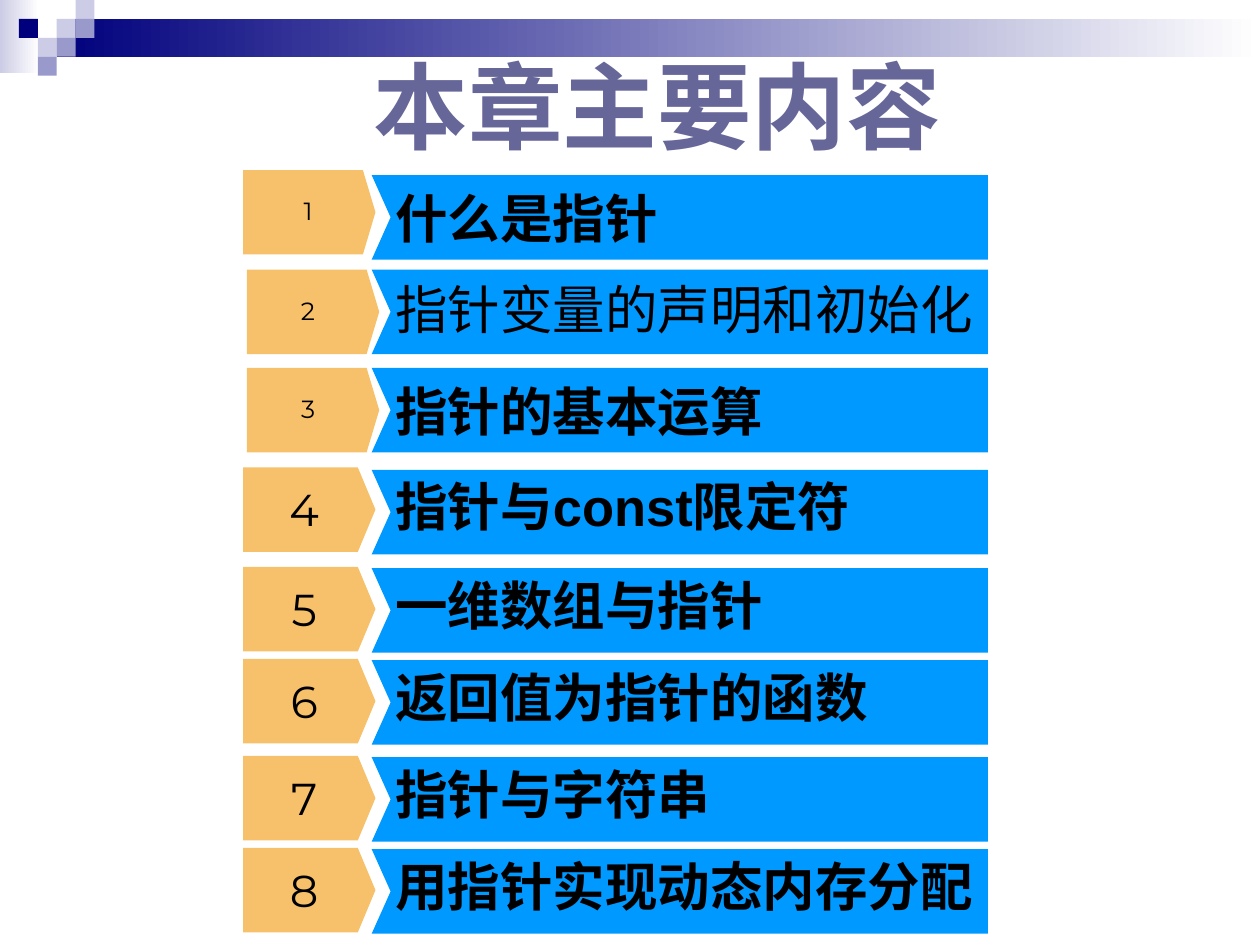
from dataclasses import dataclass

from lxml import etree
from pptx import Presentation
from pptx.dml.color import RGBColor
from pptx.enum.shapes import MSO_SHAPE as Preset
from pptx.enum.text import MSO_ANCHOR as Anchor, PP_ALIGN as Align
from pptx.oxml.ns import qn
from pptx.util import Inches, Pt

NAVY = RGBColor(0x00, 0x00, 0x7D)
LAVENDER = RGBColor(0xCC, 0xCC, 0xE6)
PERIWINKLE = RGBColor(0x99, 0x99, 0xCC)
WHITE = RGBColor(0xFF, 0xFF, 0xFF)
TITLE_PURPLE = RGBColor(0x66, 0x66, 0x99)
BAR_BLUE = RGBColor(0x00, 0x99, 0xFF)
TAG_ORANGE = RGBColor(0xF6, 0xC1, 0x6A)
BLACK = RGBColor(0x00, 0x00, 0x00)

SLIDE_W, SLIDE_H = 10, 7.5
CELL = 0.15  # side of one square in the corner mosaic
ROW_H = 0.67
BAR_LEFT, BAR_RIGHT, BAR_NOTCH = 2.95, 7.84, 0.15
TAG_W = 1.05
LABEL_LEFT = 3.04
CJK_FONT = "Noto Sans CJK SC"

# (column, row, colour) of the corner mosaic
MOSAIC = [
    (3, 1, LAVENDER), (4, 0, LAVENDER), (4, 1, PERIWINKLE), (2, 2, LAVENDER),
    (1, 1, NAVY), (3, 2, PERIWINKLE), (2, 3, PERIWINKLE),
]


@dataclass
class Chapter:
    title: str
    top: float
    small_number: bool = False
    tag_left: float = 1.93
    tag_shift: float = -0.01
    label_shift: float = -0.01
    label_width: float = 4.73
    font: str = "Arial"
    bold: bool = True
    align: Align = Align.LEFT


CHAPTERS = [
    Chapter("什么是指针", 1.39, True, tag_shift=-0.04, label_shift=0.04, label_width=4.02),
    Chapter("指针变量的声明和初始化", 2.14, True, 1.96, 0, 0.01, 5.12,
            "Times New Roman", False, Align.JUSTIFY),
    Chapter("指针的基本运算", 2.92, True, 1.96, 0, 0.04),
    Chapter("指针与const限定符", 3.73, tag_shift=-0.02, label_shift=-0.02),
    Chapter("一维数组与指针", 4.51),
    Chapter("返回值为指针的函数", 5.24),
    Chapter("指针与字符串", 6.01),
    Chapter("用指针实现动态内存分配", 6.74, label_width=4.96),
]


def add_block(slide, left, top, width, height, color, fade_to=None):
    """Borderless rectangle, plain or fading from left to right."""
    block = slide.shapes.add_shape(
        Preset.RECTANGLE, Inches(left), Inches(top), Inches(width), Inches(height))
    block.shadow.inherit = False
    block.line.fill.background()
    if fade_to is None:
        block.fill.solid()
        block.fill.fore_color.rgb = color
    else:
        block.fill.gradient()
        block.fill.gradient_angle = 0
        for stop, stop_color in zip(block.fill.gradient_stops, (color, fade_to)):
            stop.color.rgb = stop_color


def add_outline(slide, points, color):
    """Closed, borderless polygon through points given in inches."""
    start, *rest = [(Inches(x), Inches(y)) for x, y in points]
    builder = slide.shapes.build_freeform(*start)
    builder.add_line_segments(rest, close=True)
    polygon = builder.convert_to_shape()
    polygon.shadow.inherit = False
    polygon.fill.solid()
    polygon.fill.fore_color.rgb = color
    polygon.line.fill.background()


def add_text(slide, text, left, top, width, height, *, size, font, color=BLACK,
             bold=False, align=Align.LEFT, anchor=Anchor.TOP, inset=True,
             line_spacing=None, shadow=False):
    box = slide.shapes.add_textbox(
        Inches(left), Inches(top), Inches(width), Inches(height))
    frame = box.text_frame
    frame.word_wrap = True
    frame.vertical_anchor = anchor
    if not inset:
        frame.margin_left = frame.margin_right = 0
        frame.margin_top = frame.margin_bottom = 0
    paragraph = frame.paragraphs[0]
    paragraph.alignment = align
    if line_spacing:
        paragraph.line_spacing = line_spacing
    run = paragraph.add_run()
    run.text = text
    run.font.size = Pt(size)
    run.font.bold = bold
    run.font.color.rgb = color
    properties = run.font._element
    if shadow:
        effects = etree.SubElement(properties, qn("a:effectLst"))
        cast = etree.SubElement(effects, qn("a:outerShdw"), dist="17961", dir="2700000")
        etree.SubElement(cast, qn("a:srgbClr"), val=str(WHITE))
    run.font.name = font
    etree.SubElement(properties, qn("a:ea"), typeface=CJK_FONT)


def add_banner(slide):
    add_block(slide, 0, 0, 0.31, 0.58, LAVENDER, fade_to=WHITE)
    add_block(slide, 3 * CELL, CELL, SLIDE_W - 3 * CELL, 2 * CELL, NAVY, fade_to=WHITE)
    for column, row, color in MOSAIC:
        add_block(slide, column * CELL, row * CELL, CELL, CELL, color)


def add_chapter(slide, number, chapter):
    # Blue bar with a notch on its left side
    top, bottom = chapter.top, chapter.top + ROW_H
    add_outline(slide, [
        (BAR_LEFT, top), (BAR_LEFT + BAR_NOTCH, top + ROW_H / 2),
        (BAR_LEFT, bottom), (BAR_RIGHT, bottom), (BAR_RIGHT, top)], BAR_BLUE)

    # Orange tag pointing into the notch
    tag_top = top + chapter.tag_shift
    left, tip = chapter.tag_left, chapter.tag_left + TAG_W
    shoulder = tip - (0.1 if chapter.small_number else 0.14)
    add_outline(slide, [
        (left, tag_top), (shoulder, tag_top), (tip, tag_top + ROW_H / 2),
        (shoulder, tag_top + ROW_H), (left, tag_top + ROW_H)], TAG_ORANGE)

    # Number and chapter title
    if chapter.small_number:
        shift, width, height, size, spacing = 0.21, 0.83, 0.27, 14.2, 0.8
    else:
        shift, width, height, size, spacing = 0.14, 0.77, 0.43, 25.5, 0.9
    add_text(slide, str(number), 2.03, tag_top + shift, width, height,
             size=size, font="Montserrat", align=Align.CENTER, anchor=Anchor.MIDDLE,
             inset=False, line_spacing=spacing, shadow=True)
    add_text(slide, chapter.title, LABEL_LEFT, top + chapter.label_shift,
             chapter.label_width, 0.6, size=30, font=chapter.font,
             bold=chapter.bold, align=chapter.align)


def main():
    deck = Presentation()
    deck.slide_width, deck.slide_height = Inches(SLIDE_W), Inches(SLIDE_H)
    slide = deck.slides.add_slide(deck.slide_layouts[6])

    add_banner(slide)
    add_text(slide, "本章主要内容", 1.22, 0.47, 7.99, 0.72, size=54, font=CJK_FONT,
             color=TITLE_PURPLE, bold=True, align=Align.CENTER, anchor=Anchor.MIDDLE)
    for number, chapter in enumerate(CHAPTERS, start=1):
        add_chapter(slide, number, chapter)

    deck.save("out.pptx")


if __name__ == "__main__":
    main()
